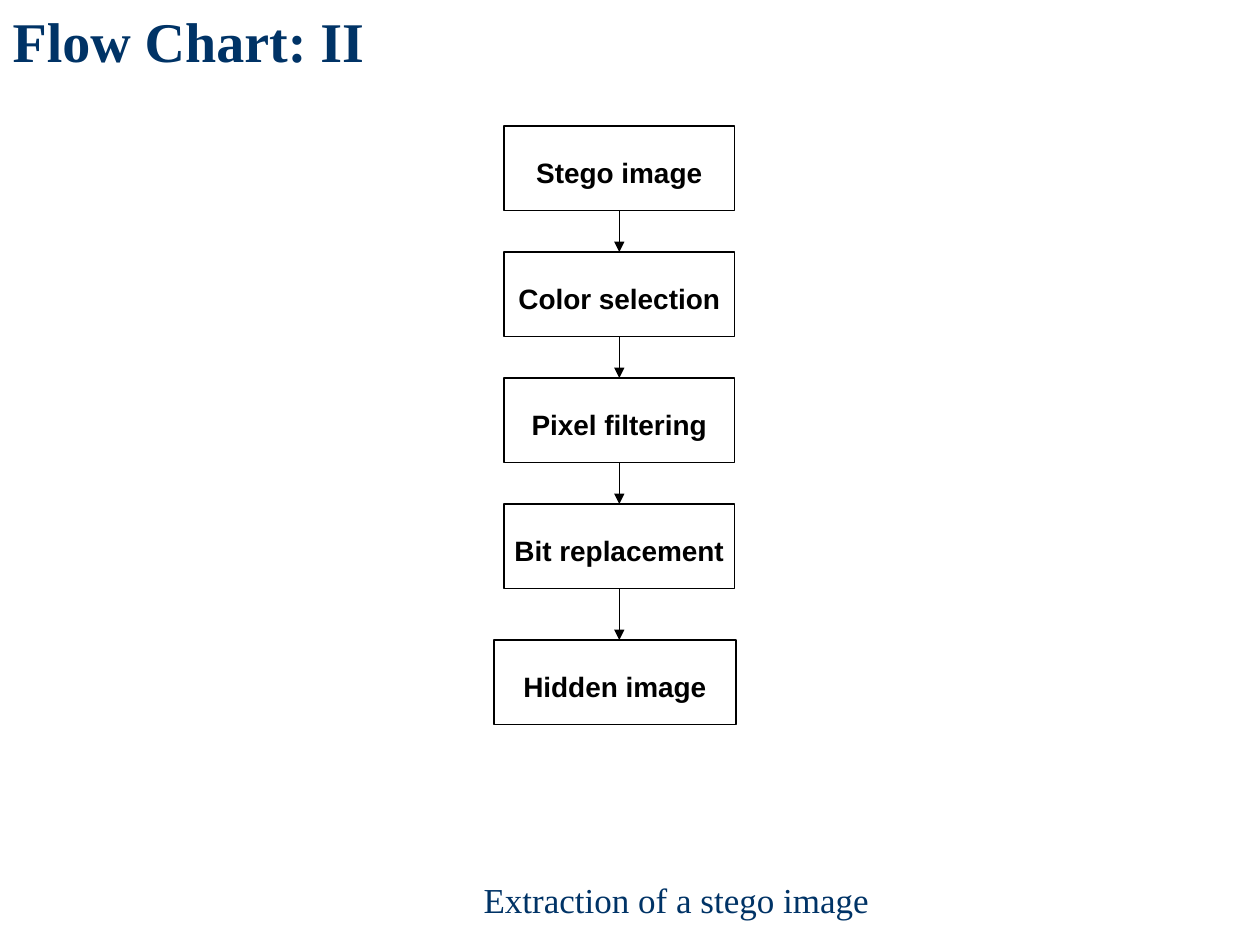
from lxml import etree
from pptx import Presentation
from pptx.dml.color import RGBColor
from pptx.enum.shapes import MSO_CONNECTOR, MSO_SHAPE
from pptx.enum.text import MSO_ANCHOR, MSO_AUTO_SIZE, PP_ALIGN
from pptx.oxml.ns import qn
from pptx.util import Inches, Pt

PROCESS = MSO_SHAPE.FLOWCHART_PROCESS
STRAIGHT = MSO_CONNECTOR.STRAIGHT
TOP, MIDDLE = MSO_ANCHOR.TOP, MSO_ANCHOR.MIDDLE
LEFT, CENTER = PP_ALIGN.LEFT, PP_ALIGN.CENTER
NO_AUTOFIT = MSO_AUTO_SIZE.NONE
TOP_SIDE, BOTTOM_SIDE = 0, 2


def color(hex_string):
    return RGBColor.from_string(hex_string)


class FlowSlide:
    navy, black, white = "003366", "000000", "FFFFFF"
    serif, sans = "Times New Roman", "Arial"
    line_width = Pt(0.75)

    def __init__(self, prs):
        self.s = prs.slides.add_slide(prs.slide_layouts[5])

    def add_text(self, tf, text, font, size, hex_string, bold=False,
                 align=LEFT, anchor=TOP, wrap=True):
        tf.word_wrap = wrap
        tf.auto_size = NO_AUTOFIT
        tf.vertical_anchor = anchor
        p = tf.paragraphs[0]
        p.alignment = align
        r = p.add_run()
        r.text = text
        r.font.name, r.font.size, r.font.bold = font, Pt(size), bold
        r.font.color.rgb = color(hex_string)
        return p

    def title(self, text, x, y, w, h):
        sp = self.s.shapes.title
        sp.left, sp.top, sp.width, sp.height = map(Inches, (x, y, w, h))
        self.add_text(sp.text_frame, text, self.serif, 32, self.navy, bold=True)

    def caption(self, text, x, y, w, h):
        sp = self.s.shapes.add_textbox(*map(Inches, (x, y, w, h)))
        self.add_text(sp.text_frame, text, self.serif, 20, self.navy)

    def step(self, text, x, y, w, h):
        sp = self.s.shapes.add_shape(PROCESS, *map(Inches, (x, y, w, h)))
        sp.shadow.inherit = False
        sp.fill.solid()
        sp.fill.fore_color.rgb = color(self.white)
        sp.line.color.rgb = color(self.black)
        sp.line.width = self.line_width
        p = self.add_text(sp.text_frame, text, self.sans, 16, self.black,
                          bold=True, align=CENTER, anchor=MIDDLE, wrap=False)
        p.line_spacing = 1.24
        return sp

    def arrow(self, upper, lower):
        """Point straight down from upper, joined to lower if their centres agree."""
        x = upper.left + upper.width // 2
        cx = self.s.shapes.add_connector(
            STRAIGHT, x, upper.top + upper.height, x, lower.top)
        cx.begin_connect(upper, BOTTOM_SIDE)
        if lower.left + lower.width // 2 == x:
            cx.end_connect(lower, TOP_SIDE)
        cx.line.color.rgb = color(self.black)
        cx.line.width = self.line_width
        etree.SubElement(cx.get_or_add_ln(), qn("a:tailEnd"), type="triangle")
        etree.SubElement(cx._element.spPr, qn("a:effectLst"))


def main():
    prs = Presentation()
    prs.slide_width, prs.slide_height = Inches(10), Inches(7.5)
    slide = FlowSlide(prs)
    slide.caption(" Extraction of a stego image", 3.67, 6.92, 3.35, 0.44)
    slide.title("Flow Chart: II", 0, 0, 3.17, 0.67)

    names = ["Stego image", "Color selection", "Pixel filtering", "Bit replacement"]
    steps = [slide.step(name, 4, row, 1.83, 0.67)
             for row, name in enumerate(names, start=1)]
    steps.append(slide.step("Hidden image", 3.92, 5.08, 1.92, 0.67))
    for upper, lower in zip(steps, steps[1:]):
        slide.arrow(upper, lower)

    prs.save("out.pptx")


if __name__ == "__main__":
    main()
